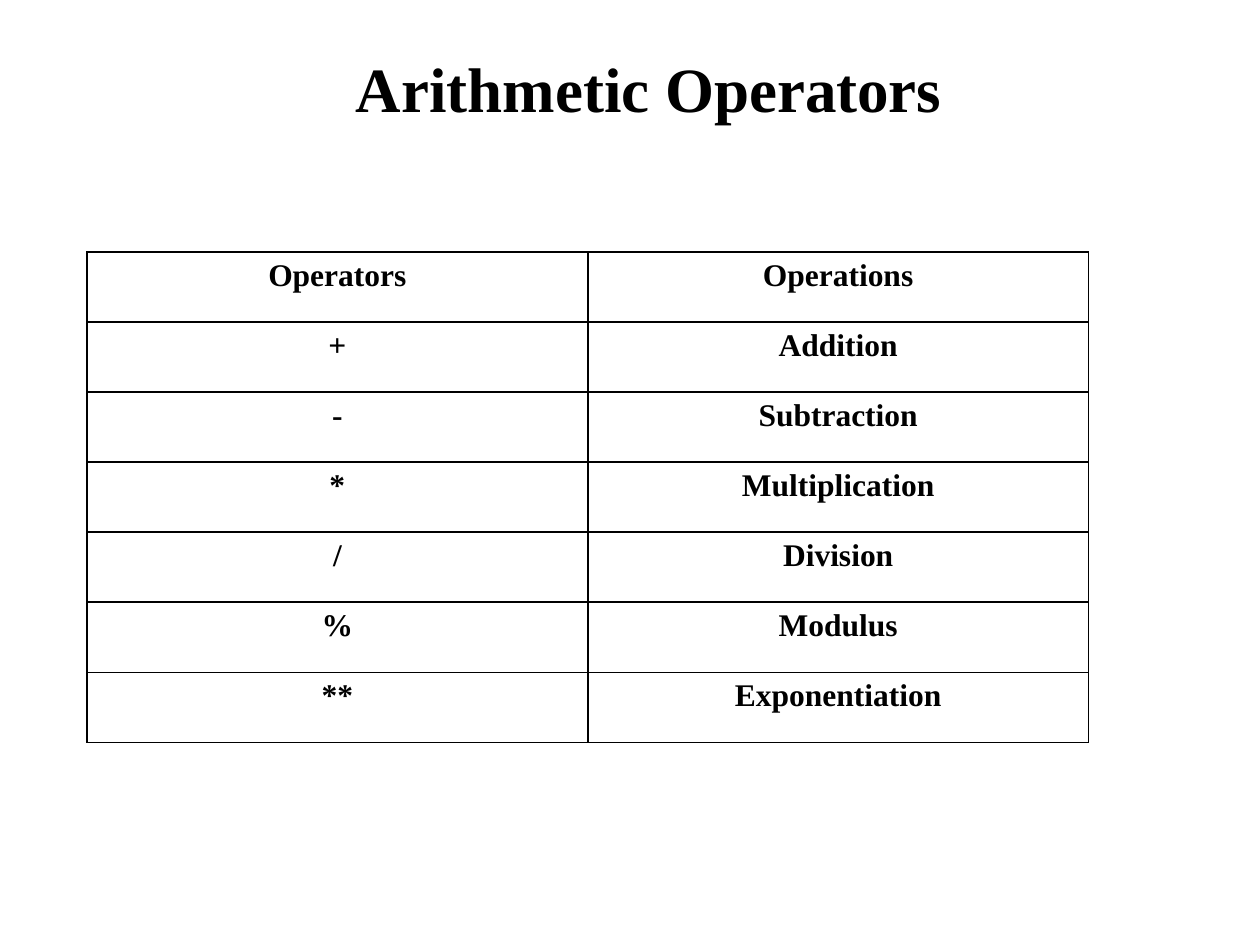
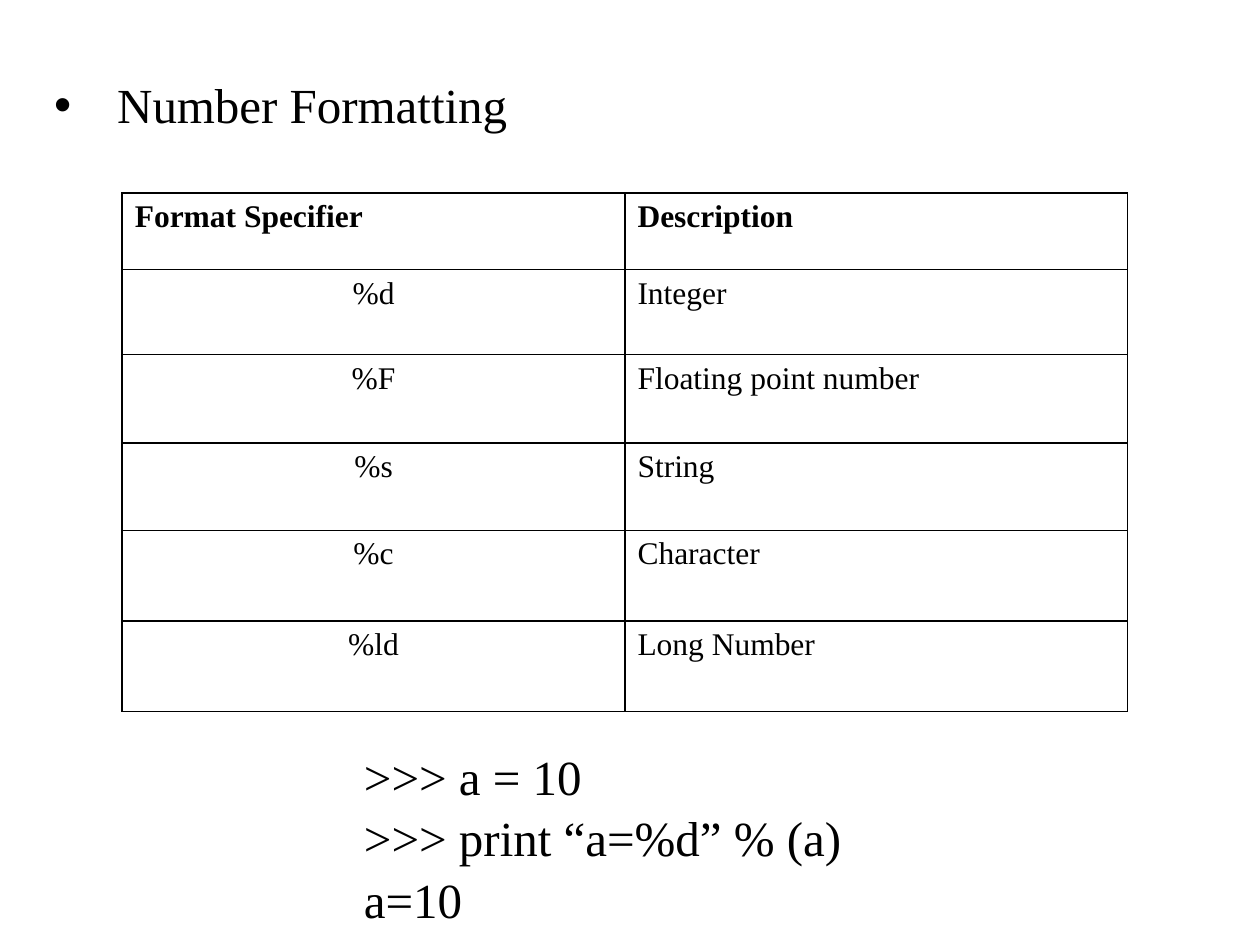
from dataclasses import dataclass
from typing import Any, NamedTuple

from lxml import etree
from pptx import Presentation
from pptx import util as u
from pptx.dml.color import RGBColor
from pptx.enum import text
from pptx.oxml import ns

COLUMNS, ROWS = 100, 75
LEFT, CENTER = text.PP_ALIGN.LEFT, text.PP_ALIGN.CENTER


@dataclass(frozen=True)
class Theme:
    font: str = "Times New Roman"
    ink: RGBColor = RGBColor(0, 0, 0)
    paper: RGBColor = RGBColor(255, 255, 255)
    title_size: int = 36
    body_size: int = 28
    table_size: int = 18
    border: int = 1


class Area(NamedTuple):
    column: float
    row: float
    columns: float
    rows: float


@dataclass(frozen=True)
class OperatorTable:
    column: float
    row: float
    column_width: float
    row_heights: list[float]
    entries: list[tuple[str, str]]
    header_alignments: tuple[Any, Any]
    entry_alignments: tuple[Any, Any]
    bold_entries: bool


THEME = Theme()
WIDTH, HEIGHT = u.Inches(10), u.Inches(7.5)

ARITHMETIC = OperatorTable(
    6.9, 20, 39.75, [5.56] * 7,
    [("Operators", "Operations"), ("+", "Addition"), ("-", "Subtraction"),
     ("*", "Multiplication"), ("/", "Division"), ("%", "Modulus"),
     ("**", "Exponentiation")],
    (CENTER, CENTER), (CENTER, CENTER), True)

FORMATS = OperatorTable(
    9.7, 15.3, 39.9, [6.1, 6.75, 7, 6.95, 7.2, 7.2],
    [("Format Specifier", "Description"), ("%d", "Integer"),
     ("%F", "Floating point number"), ("%s", "String"),
     ("%c", "Character"), ("%ld", "Long Number")],
    (LEFT, LEFT), (CENTER, LEFT), False)


def across(columns: float) -> int:
    return round(WIDTH * columns / COLUMNS)


def down(rows: float) -> int:
    return round(HEIGHT * rows / ROWS)


def apply(target: Any, values: dict[str, Any]) -> None:
    for name, value in values.items():
        setattr(target, name, value)


def place(shape: Any, area: Area) -> None:
    apply(shape, {"left": across(area.column), "top": down(area.row),
                  "width": across(area.columns), "height": down(area.rows)})


def write(frame: Any, lines: list[str], size: int, bold: bool = False,
          alignment: Any = LEFT, spacing: float = 1.0) -> None:
    frame.text = "\n".join(lines)
    for paragraph in frame.paragraphs:
        apply(paragraph, {"alignment": alignment, "line_spacing": spacing,
                          "space_before": u.Pt(0)})
        for run in paragraph.runs:
            apply(run.font, {"name": THEME.font, "size": u.Pt(size), "bold": bold})
            run.font.color.rgb = THEME.ink


def fill_box(shape: Any, area: Area, lines: list[str], size: int, **style: Any) -> None:
    place(shape, area)
    apply(shape.text_frame, {"word_wrap": True, "auto_size": text.MSO_AUTO_SIZE.NONE,
                             "vertical_anchor": text.MSO_ANCHOR.TOP})
    write(shape.text_frame, lines, size, **style)


def add_bullet(paragraph: Any) -> None:
    properties = paragraph._p.get_or_add_pPr()
    indent = u.Inches(0.5)
    properties.set("marL", str(indent))
    properties.set("indent", str(-indent))
    font = etree.SubElement(properties, ns.qn("a:buFont"))
    font.set("typeface", "Arial")
    etree.SubElement(properties, ns.qn("a:buChar")).set("char", "•")


def add_borders(cell: Any) -> None:
    properties = cell._tc.get_or_add_tcPr()
    for position, side in enumerate(("lnL", "lnR", "lnT", "lnB")):
        line = etree.Element(ns.qn(f"a:{side}"), w=str(u.Pt(THEME.border)))
        fill = etree.SubElement(line, ns.qn("a:solidFill"))
        etree.SubElement(fill, ns.qn("a:srgbClr")).set("val", str(THEME.ink))
        properties.insert(position, line)


def add_operator_table(slide: Any, spec_table: OperatorTable) -> None:
    frame = slide.shapes.add_table(
        len(spec_table.entries), 2, across(spec_table.column), down(spec_table.row),
        across(2 * spec_table.column_width), down(sum(spec_table.row_heights)))
    table = frame.table
    apply(table, {"first_row": False, "horz_banding": False})
    for column in table.columns:
        column.width = across(spec_table.column_width)
    for row, height in zip(table.rows, spec_table.row_heights):
        row.height = down(height)
    for row_index, entry in enumerate(spec_table.entries):
        header = row_index == 0
        alignments = spec_table.header_alignments if header else spec_table.entry_alignments
        for column_index, (label, alignment) in enumerate(zip(entry, alignments)):
            cell = table.cell(row_index, column_index)
            write(cell.text_frame, [label], THEME.table_size,
                  bold=header or spec_table.bold_entries, alignment=alignment)
            cell.fill.solid()
            cell.fill.fore_color.rgb = THEME.paper
            add_borders(cell)


def add_slide(presentation: Any, layout_name: str) -> Any:
    layout = presentation.slide_layouts.get_by_name(layout_name)
    slide = presentation.slides.add_slide(layout)
    slide.background.fill.solid()
    slide.background.fill.fore_color.rgb = THEME.paper
    return slide


def build_arithmetic_slide(presentation: Any) -> None:
    slide = add_slide(presentation, "Title Only")
    add_operator_table(slide, ARITHMETIC)
    fill_box(slide.shapes.title, Area(14, 3.4, 75, 7.1), ["Arithmetic Operators"],
             THEME.title_size, bold=True, alignment=CENTER)


def build_formatting_slide(presentation: Any) -> None:
    slide = add_slide(presentation, "Title and Content")
    title = slide.shapes.title._element
    title.getparent().remove(title)
    body = slide.placeholders[1]
    fill_box(body, Area(3.3, 3.1, 92.8, 15.1), ["Number Formatting"],
             THEME.body_size, spacing=1.5)
    add_bullet(body.text_frame.paragraphs[0])
    add_operator_table(slide, FORMATS)
    code = slide.shapes.add_textbox(0, 0, 0, 0)
    fill_box(code, Area(27.9, 58.5, 72.1, 15.1),
             [">>> a = 10", ">>> print “a=%d” % (a)", "a=10"],
             THEME.body_size, spacing=1.05)


def main() -> None:
    presentation = Presentation()
    apply(presentation, {"slide_width": WIDTH, "slide_height": HEIGHT})
    build_arithmetic_slide(presentation)
    build_formatting_slide(presentation)
    presentation.save("out.pptx")


if __name__ == "__main__":
    main()
